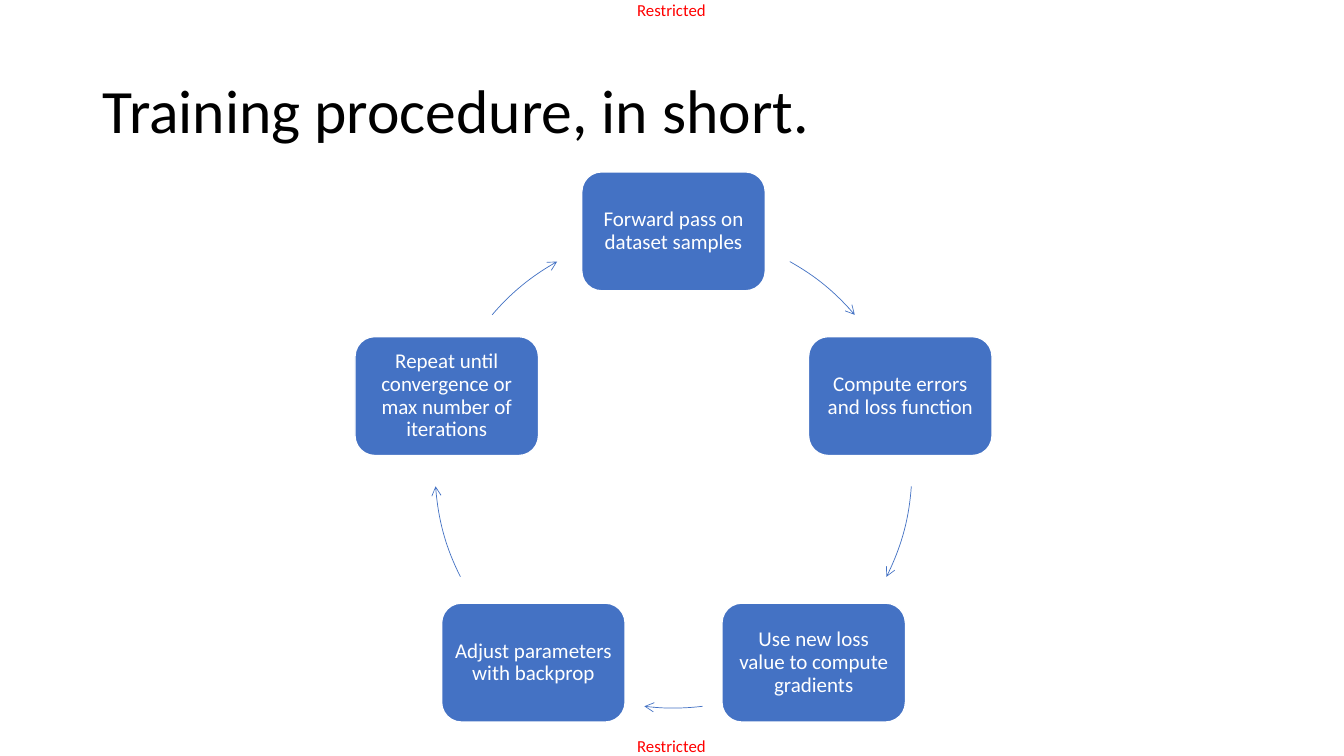
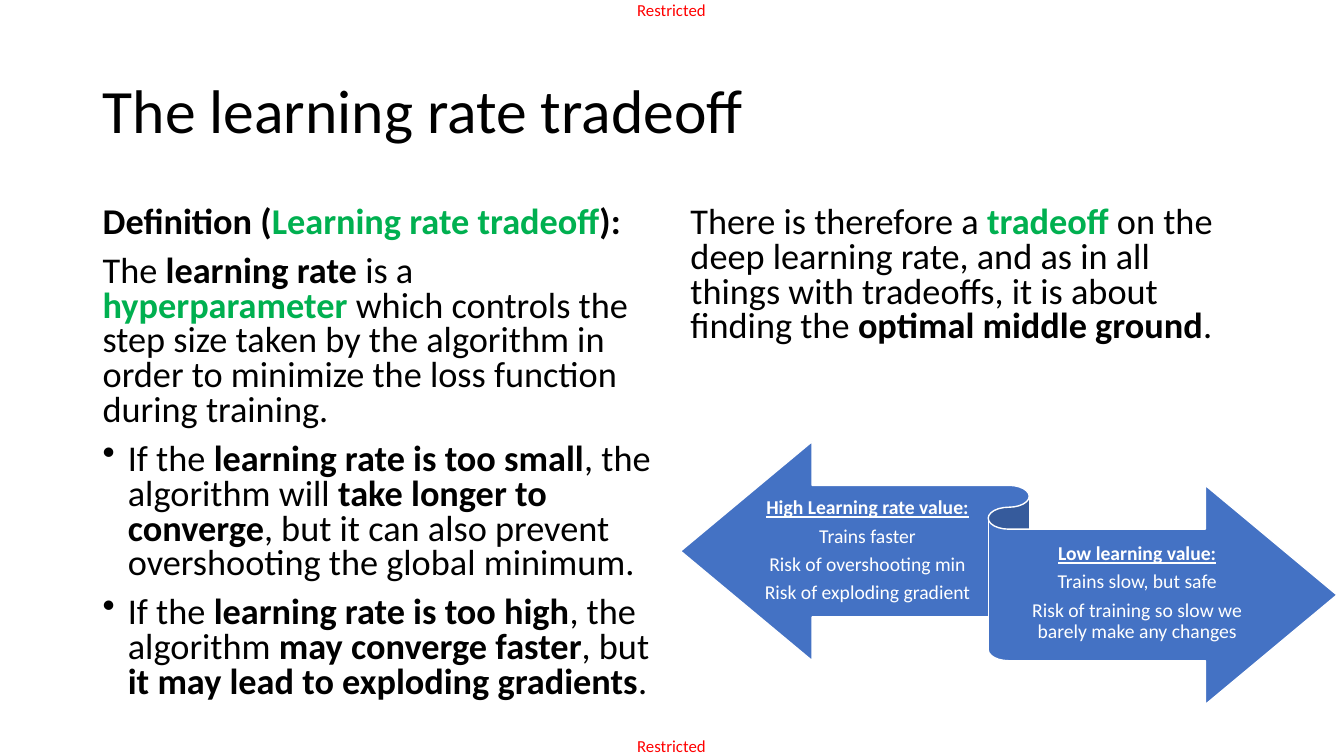
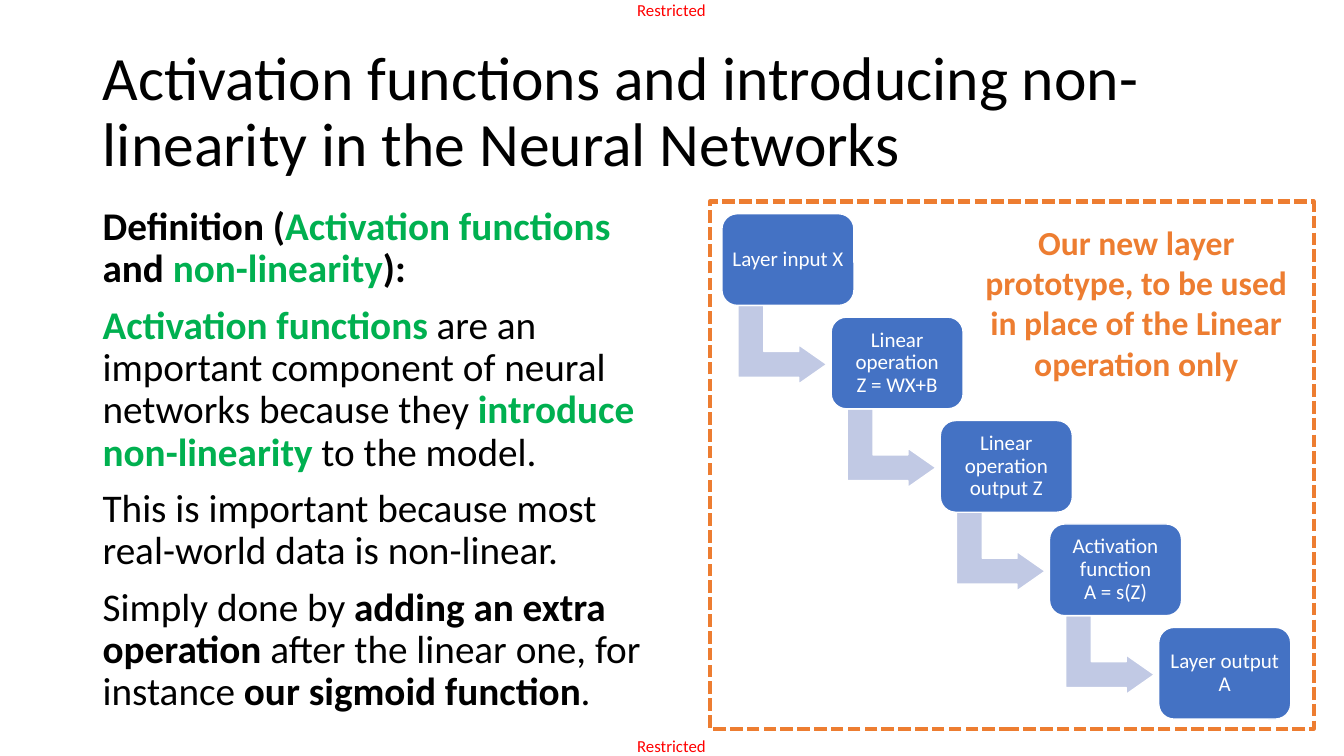
import pptx
import pptx.util
import pptx.dml.color
import pptx.enum.dml
import pptx.enum.shapes
import pptx.enum.text
from lxml import etree

Inches, Pt = pptx.util.Inches, pptx.util.Pt
RGBColor = pptx.dml.color.RGBColor
SHAPE = pptx.enum.shapes.MSO_SHAPE
ALIGN = pptx.enum.text.PP_ALIGN
ANCHOR = pptx.enum.text.MSO_ANCHOR

# Shared style
WIDTH, HEIGHT = 13.33, 7.5
FONT = "Calibri"
BLACK = RGBColor(0, 0, 0)
WHITE = RGBColor(255, 255, 255)
RED = RGBColor(255, 0, 0)
GREEN = RGBColor(0x00, 0xB0, 0x50)
BLUE = RGBColor(0x44, 0x72, 0xC4)
PALE_BLUE = RGBColor(0xC1, 0xC9, 0xE4)
ORANGE = RGBColor(0xED, 0x7D, 0x31)
RESTRICTED = "Restricted"
BAND_SIZE = (0.73, 0.2)
TITLE_AREA = (0.92, 0.4, 11.5, 1.45)
LEFT_COLUMN = (0.92, 2, 5.67, 5.5)
RIGHT_COLUMN = (6.75, 2, 5.67, 4.76)

# Run styles: (colour, bold)
PLAIN, BOLD, KEY = (BLACK, False), (BLACK, True), (GREEN, True)

# Training cycle: steps clockwise from the top, arcs in degrees from the top
CYCLE_TITLE = "Training procedure, in short."
CYCLE_STEPS = [
    "Forward pass on dataset samples",
    "Compute errors and loss function",
    "Use new loss value to compute gradients",
    "Adjust parameters with backprop",
    "Repeat until convergence or max number of iterations",
]
CYCLE_ARCS = [(29.2, 49.5), (94, 116.7), (173, 187), (243.3, 266), (310.5, 330.8)]
CYCLE_CENTRE, CYCLE_RADIUS = (6.68, 4.66), 2.365
STEP_SIZE = (1.82, 1.18)

# Learning rate: each paragraph is (bulleted, runs)
RATE_TITLE = "The learning rate tradeoff"
RATE_DEFINITION = [
    (False, [("Definition (", BOLD), ("Learning rate tradeoff", KEY), ("):", BOLD)]),
    (False, [
        ("The ", PLAIN), ("learning rate", BOLD), (" is a ", PLAIN), ("hyperparameter", KEY),
        (" which controls the step size taken by the algorithm in order to minimize "
         "the loss function during training.", PLAIN)]),
    (True, [
        ("If the ", PLAIN), ("learning rate is too small", BOLD), (", the algorithm will ", PLAIN),
        ("take longer to converge", BOLD),
        (", but it can also prevent overshooting the global minimum.", PLAIN)]),
    (True, [
        ("If the ", PLAIN), ("learning rate is too high", BOLD), (", the algorithm ", PLAIN),
        ("may converge faster", BOLD), (", but ", PLAIN),
        ("it may lead to exploding gradients", BOLD), (".", PLAIN)]),
]
RATE_CONCLUSION = [
    (False, [
        ("There is therefore a ", PLAIN), ("tradeoff", KEY),
        (" on the deep learning rate, and as in all things with tradeoffs, "
         "it is about finding the ", PLAIN),
        ("optimal middle ground", BOLD), (".", PLAIN)]),
]
RIBBON_AREA = (6.75, 4.38, 6.51, 2.61)
RIBBON_SIDES = [
    ((7.53, 4.83, 2.15, 1.28),
     ["High Learning rate value:", "Trains faster", "Risk of overshooting min",
      "Risk of exploding gradient"]),
    ((10.01, 5.25, 2.54, 1.28),
     ["Low learning value:", "Trains slow, but safe",
      "Risk of training so slow we barely make any changes"]),
]

# Activation functions
ACTIVATION_TITLE = "Activation functions and introducing non-linearity in the Neural Networks"
ACTIVATION_DEFINITION = [
    (False, [("Definition (", BOLD), ("Activation functions", KEY), (" and ", BOLD),
             ("non-linearity", KEY), ("):", BOLD)]),
    (False, [
        ("Activation functions ", KEY),
        ("are an important component of neural networks because they ", PLAIN),
        ("introduce non-linearity ", KEY), ("to the model.", PLAIN)]),
    (False, [("This is important because most real-world data is non-linear.", PLAIN)]),
    (False, [
        ("Simply done by ", PLAIN), ("adding an extra operation ", BOLD),
        ("after the linear one, for instance ", PLAIN),
        ("our sigmoid function", BOLD), (".", PLAIN)]),
]
LAYER_STAGES = [
    "Layer input X",
    "Linear operation\nZ = WX+B",
    "Linear operation output Z",
    "Activation function\nA = s(Z)",
    "Layer output A",
]
STAGE_START, STAGE_PITCH, STAGE_SIZE = (7.16, 2.12), (1.083, 1.026), (1.31, 0.91)
TURN_OFFSET, TURN_SIZE = (0.21, 0.86), (0.78, 0.88)
TURN_ADJUSTMENTS = (0.328, 0.25, 0.358)
PROTOTYPE_FRAME = (7.04, 2, 5.99, 5.23)
PROTOTYPE_AREA = (9.63, 2.15, 3.28, 1.72)
PROTOTYPE_NOTE = "Our new layer prototype, to be used in place of the Linear operation only"


def style_run(run, size, colour, bold=False):
    run.font.name, run.font.size, run.font.bold = FONT, Pt(size), bold
    run.font.color.rgb = colour


def style_frame(frame, size, colour, align=ALIGN.LEFT, spacing=1.0, bold=False, after=0):
    for paragraph in frame.paragraphs:
        paragraph.alignment, paragraph.line_spacing = align, spacing
        paragraph.space_after = Pt(after)
        for run in paragraph.runs:
            style_run(run, size, colour, bold)


def set_margins(frame, left, top, right, bottom):
    frame.margin_left, frame.margin_top = Inches(left), Inches(top)
    frame.margin_right, frame.margin_bottom = Inches(right), Inches(bottom)


def add_text_area(slide, area, text=""):
    frame = slide.shapes.add_textbox(*map(Inches, area)).text_frame
    frame.word_wrap = True
    frame.text = text
    return frame


def add_figure(slide, kind, area, fill=None, line=WHITE, line_width=1):
    figure = slide.shapes.add_shape(kind, *map(Inches, area))
    figure.shadow.inherit = False
    if fill is None:
        figure.fill.background()
    else:
        figure.fill.solid()
        figure.fill.fore_color.rgb = fill
    figure.line.color.rgb = line
    figure.line.width = Pt(line_width)
    return figure


def add_step(slide, area, text):
    """Blue rounded box with centred white text."""
    frame = add_figure(slide, SHAPE.ROUNDED_RECTANGLE, area, BLUE).text_frame
    frame.word_wrap = True
    frame.vertical_anchor = ANCHOR.MIDDLE
    set_margins(frame, 0.06, 0.06, 0.06, 0.06)
    frame.text = text
    style_frame(frame, 15, WHITE, ALIGN.CENTER, 0.9)


def add_bullet(paragraph):
    properties = paragraph._p.get_or_add_pPr()
    properties.set("marL", str(Inches(0.25)))
    properties.set("indent", str(-Inches(0.25)))
    etree.SubElement(properties, pptx.oxml.ns.qn("a:buChar")).set("char", "•")


def add_body(slide, area, paragraphs, size, spacing):
    frame = add_text_area(slide, area)
    for index, (bulleted, runs) in enumerate(paragraphs):
        paragraph = frame.add_paragraph() if index else frame.paragraphs[0]
        if bulleted:
            add_bullet(paragraph)
        paragraph.line_spacing = spacing
        paragraph.space_before = Pt(10 if index else 0)
        for text, (colour, bold) in runs:
            run = paragraph.add_run()
            run.text = text
            style_run(run, size, colour, bold)


def add_titled_slide(deck, title):
    slide = deck.slides.add_slide(deck.slide_layouts[5])
    heading = slide.shapes.title
    heading.left, heading.top, heading.width, heading.height = map(Inches, TITLE_AREA)
    frame = heading.text_frame
    frame.text = title
    frame.word_wrap = True
    frame.auto_size = pptx.enum.text.MSO_AUTO_SIZE.NONE
    frame.vertical_anchor = ANCHOR.MIDDLE
    style_frame(frame, 44, BLACK, spacing=0.9)
    # Marking at the top and bottom edges
    for top in (0, HEIGHT - BAND_SIZE[1]):
        marking = add_text_area(slide, (6.32, top, *BAND_SIZE), RESTRICTED)
        set_margins(marking, 0, 0, 0, 0)
        style_frame(marking, 12, RED)
    return slide


def build_cycle(deck):
    slide = add_titled_slide(deck, CYCLE_TITLE)
    (centre_x, centre_y), (width, height) = CYCLE_CENTRE, STEP_SIZE
    circle = (centre_x - CYCLE_RADIUS, centre_y - CYCLE_RADIUS,
              2 * CYCLE_RADIUS, 2 * CYCLE_RADIUS)
    for index, (step, arc_angles) in enumerate(zip(CYCLE_STEPS, CYCLE_ARCS)):
        angle = math.radians(index * 360 / len(CYCLE_STEPS))
        x = centre_x + CYCLE_RADIUS * math.sin(angle)
        y = centre_y - CYCLE_RADIUS * math.cos(angle)
        add_step(slide, (x - width / 2, y - height / 2, width, height), step)
        arc = add_figure(slide, SHAPE.ARC, circle, line=BLUE, line_width=0.5)
        for end, degrees in enumerate(arc_angles):
            # Preset angles run from three o'clock, in units of 0.6 per degree
            arc.adjustments[end] = (degrees - 90) % 360 * 0.6
        outline = arc.line._get_or_add_ln()
        etree.SubElement(outline, pptx.oxml.ns.qn("a:tailEnd")).set("type", "arrow")


def build_learning_rate(deck):
    slide = add_titled_slide(deck, RATE_TITLE)
    add_body(slide, LEFT_COLUMN, RATE_DEFINITION, 25.9, 0.8)
    add_body(slide, RIGHT_COLUMN, RATE_CONCLUSION, 25.9, 0.8)
    add_figure(slide, SHAPE.LEFT_RIGHT_RIBBON, RIBBON_AREA, BLUE)
    for area, lines in RIBBON_SIDES:
        frame = add_text_area(slide, area, "\n".join(lines))
        frame.vertical_anchor = ANCHOR.MIDDLE
        set_margins(frame, 0, 0.05, 0, 0.06)
        style_frame(frame, 14, WHITE, ALIGN.CENTER, 0.9, after=5)
        side_heading = frame.paragraphs[0].runs[0].font
        side_heading.bold = side_heading.underline = True


def build_activation(deck):
    slide = add_titled_slide(deck, ACTIVATION_TITLE)
    add_body(slide, LEFT_COLUMN, ACTIVATION_DEFINITION, 28, 0.9)
    # Staircase of stages, joined by bent arrows
    for index, stage in enumerate(LAYER_STAGES):
        left, top = (start + index * pitch for start, pitch in zip(STAGE_START, STAGE_PITCH))
        if index < len(LAYER_STAGES) - 1:
            turn_area = (left + TURN_OFFSET[0], top + TURN_OFFSET[1], *TURN_SIZE)
            turn = add_figure(slide, SHAPE.BENT_UP_ARROW, turn_area, PALE_BLUE)
            turn.rotation = 90
            for position, value in enumerate(TURN_ADJUSTMENTS):
                turn.adjustments[position] = value
        add_step(slide, (left, top, *STAGE_SIZE), stage)
    frame = add_figure(slide, SHAPE.RECTANGLE, PROTOTYPE_FRAME, line=ORANGE, line_width=3)
    frame.line.dash_style = pptx.enum.dml.MSO_LINE.SQUARE_DOT
    note = add_text_area(slide, PROTOTYPE_AREA, PROTOTYPE_NOTE)
    style_frame(note, 24, ORANGE, ALIGN.CENTER, bold=True)


def main():
    deck = pptx.Presentation()
    deck.slide_width, deck.slide_height = Inches(WIDTH), Inches(HEIGHT)
    build_cycle(deck)
    build_learning_rate(deck)
    build_activation(deck)
    deck.save("out.pptx")


import math
import pptx.oxml.ns

if __name__ == "__main__":
    main()
